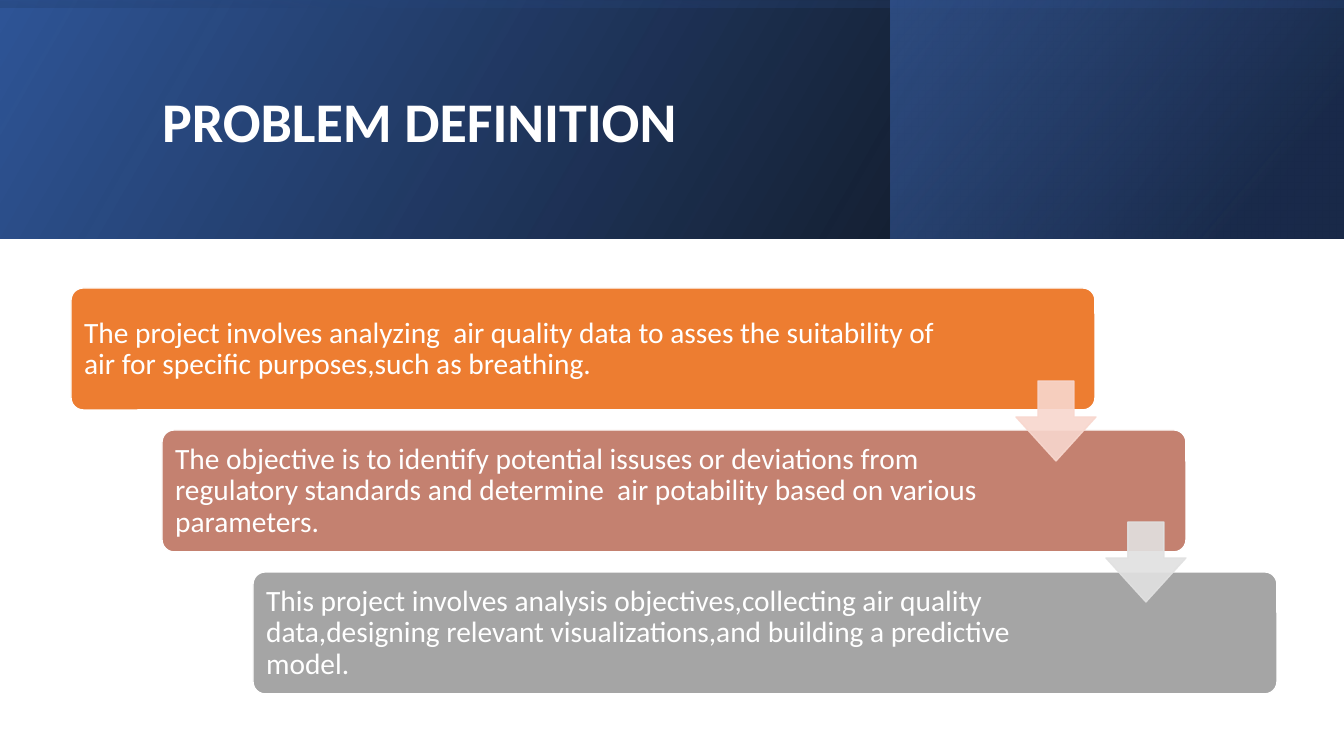
import pptx
import pptx.util
import pptx.dml.color
import pptx.enum.shapes
import pptx.enum.text
import pptx.oxml
import pptx.oxml.ns

PX = 914400 / 100.8
SHAPES = pptx.enum.shapes.MSO_SHAPE
COLORS = {
    "white": "FFFFFF", "black": "000000", "navy": "203864", "deep_blue": "2F5597",
    "blue": "4472C4", "orange": "ED7D31", "rose": "C48170", "gray": "A5A5A5",
    "pale_rose": "F8D7CE", "pale_gray": "E1E1E1",
}


def add_block(kind, box, color, adjustments=()):
    """Add a preset shape at a pixel box with a solid fill and a matching or white outline."""
    block = slide.shapes.add_shape(kind, *(round(v * PX) for v in box))
    block.shadow.inherit = False
    for i, value in enumerate(adjustments):
        block.adjustments[i] = value
    block.fill.solid()
    block.fill.fore_color.rgb = pptx.dml.color.RGBColor.from_string(COLORS[color])
    block.line.width = pptx.util.Pt(1)
    outline = color if kind == SHAPES.DOWN_ARROW else "white"
    block.line.color.rgb = pptx.dml.color.RGBColor.from_string(COLORS[outline])
    return block


def write_text(holder, words, size, bold, margin):
    """Write one left-aligned, vertically centred white paragraph into a text holder."""
    frame = holder.text_frame
    frame_format = {
        "word_wrap": True, "vertical_anchor": pptx.enum.text.MSO_ANCHOR.MIDDLE,
        "margin_left": margin, "margin_right": margin,
        "margin_top": margin, "margin_bottom": margin,
    }
    for name, value in frame_format.items():
        setattr(frame, name, value)
    paragraph = frame.paragraphs[0]
    paragraph.alignment = pptx.enum.text.PP_ALIGN.LEFT
    paragraph.line_spacing = 0.9
    run = paragraph.add_run()
    run.text = words
    for name, value in {"name": "Calibri", "size": pptx.util.Pt(size), "bold": bold}.items():
        setattr(run.font, name, value)
    run.font.color.rgb = pptx.dml.color.RGBColor.from_string(COLORS["white"])


deck = pptx.Presentation()
deck.slide_width = round(1344 * PX)
deck.slide_height = round(756 * PX)
slide = deck.slides.add_slide(deck.slide_layouts[5])

# Header: three mirrored gradient bands; stops are (position %, color, opacity %)
header_bands = [
    ((0, 0, 1344, 239), 0, 330, [(0, "black", 96), (100, "deep_blue", 100)]),
    ((891, 0, 452, 239), 0, 320, [(19, "navy", 68), (100, "blue", 48)]),
    ((552, -552, 239, 1344), 270, 350, [(23, "deep_blue", 16), (99, "black", 45)]),
]
for box, rotation, angle, stops in header_bands:
    band = add_block(SHAPES.RECTANGLE, box, "deep_blue")
    band.rotation = rotation
    band.line.fill.background()
    properties = band._element.spPr
    properties.find(pptx.oxml.ns.qn("a:xfrm")).set("flipH", "1")
    stop_xml = "".join(
        f'<a:gs pos="{position * 1000}"><a:srgbClr val="{COLORS[color]}">'
        f'<a:alpha val="{opacity * 1000}"/></a:srgbClr></a:gs>'
        for position, color, opacity in stops)
    gradient = pptx.oxml.parse_xml(
        f'<a:gradFill {pptx.oxml.ns.nsdecls("a")} rotWithShape="1"><a:gsLst>{stop_xml}</a:gsLst>'
        f'<a:lin ang="{angle * 60000}" scaled="0"/></a:gradFill>')
    properties.replace(properties.find(pptx.oxml.ns.qn("a:solidFill")), gradient)

heading = slide.shapes.title
for name, pixels in {"left": 152, "top": 38, "width": 1072, "height": 173}.items():
    setattr(heading, name, round(pixels * PX))
write_text(heading, "PROBLEM DEFINITION", 40, True, pptx.util.Inches(0.1))
slide.shapes._spTree.append(heading._element)

# Staircase of three steps
steps = [
    ("orange", 892, "The project involves analyzing\u00a0 air quality data to asses the suitability "
     "of air for specific purposes,such as breathing."),
    ("rose", 847, "The objective is to identify potential issuses or deviations from regulatory "
     "standards and determine\u00a0 air potability based on various parameters."),
    ("gray", 847, "This project involves analysis objectives,collecting air quality "
     "data,designing relevant visualizations,and building a predictive model."),
]
for i, (color, text_width, words) in enumerate(steps):
    left, top = 71 + 91 * i, 288 + 142 * i
    add_block(SHAPES.ROUNDED_RECTANGLE, (left, top, 1024, 122), color, [0.1])
    statement = slide.shapes.add_textbox(
        *(round(v * PX) for v in (left + 4, top + 4, text_width, 115)))
    write_text(statement, words, 21, False, pptx.util.Inches(0.09))

for i, color in enumerate(["pale_rose", "pale_gray"]):
    arrow = add_block(SHAPES.DOWN_ARROW, (1016 + 90 * i, 381 + 141 * i, 80, 80), color,
                      [0.45, 0.55])
    for tint in arrow._element.spPr.iter(pptx.oxml.ns.qn("a:srgbClr")):
        tint.append(pptx.oxml.parse_xml(
            f'<a:alpha {pptx.oxml.ns.nsdecls("a")} val="90000"/>'))

deck.save("out.pptx")
